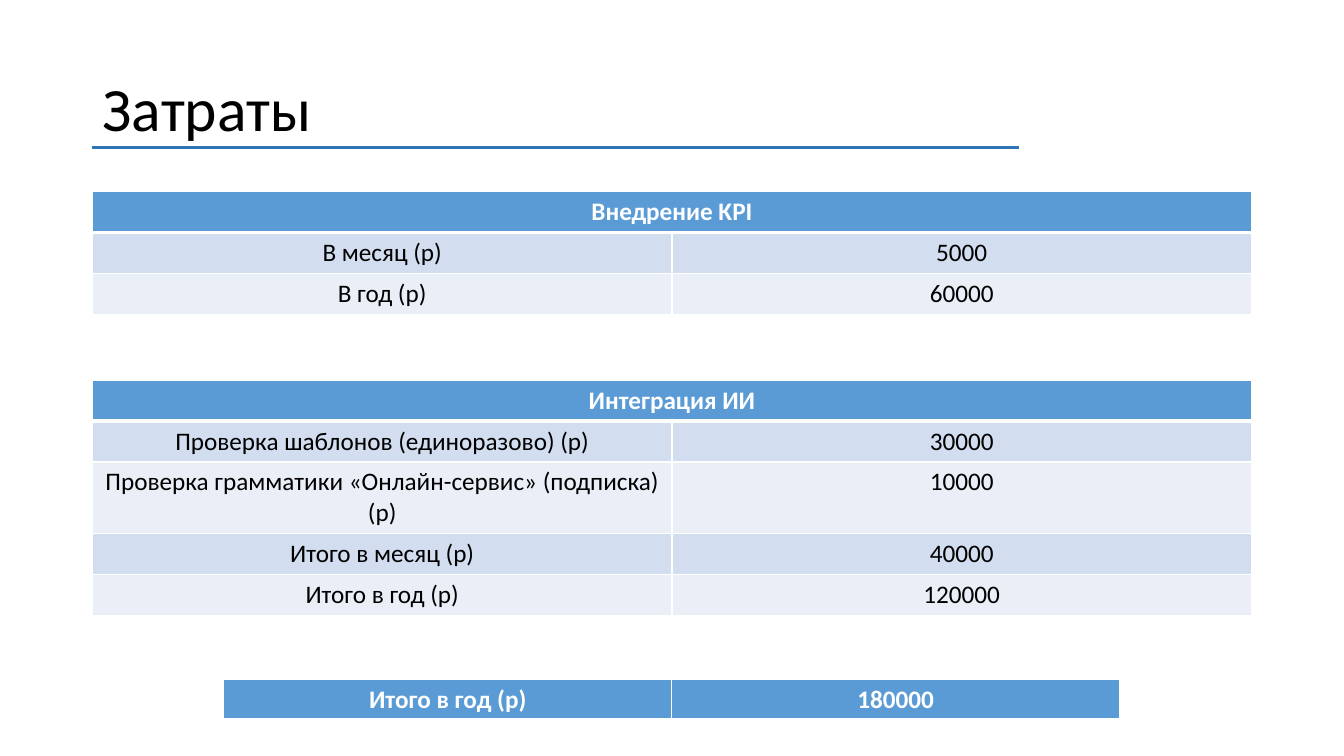
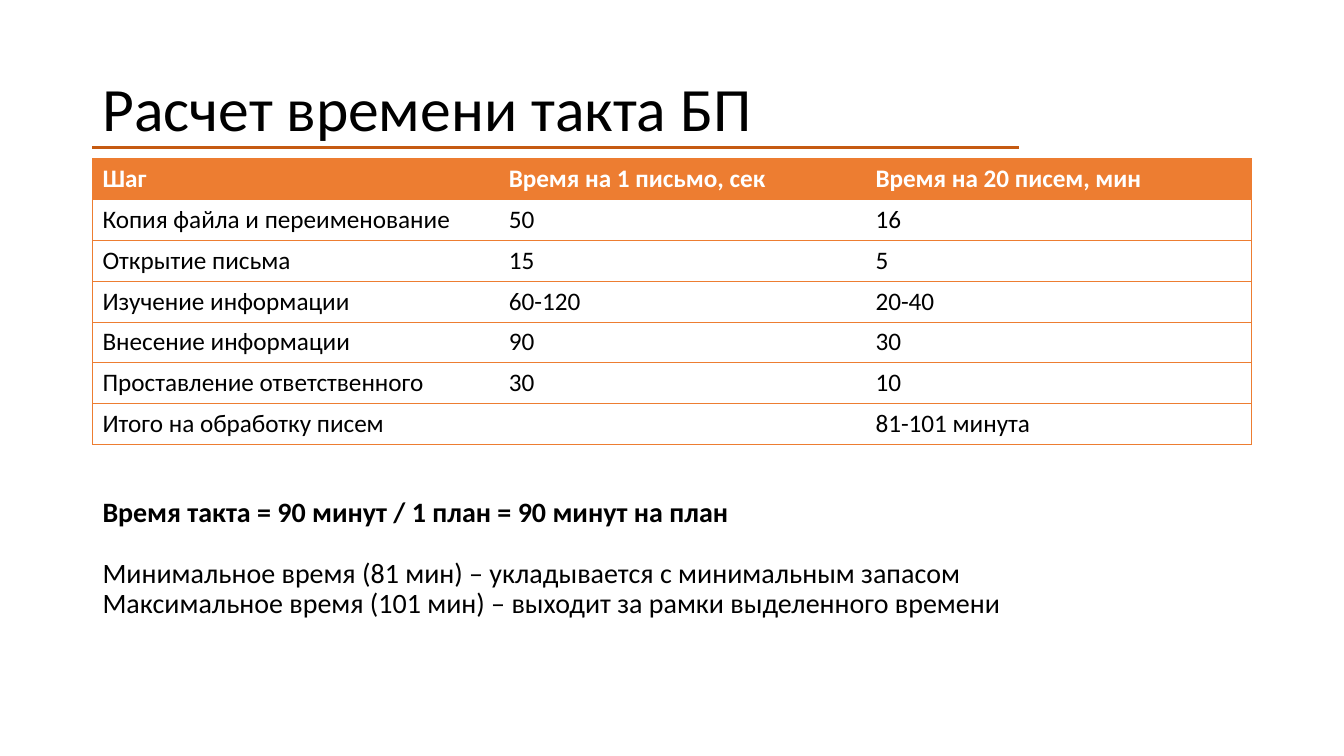
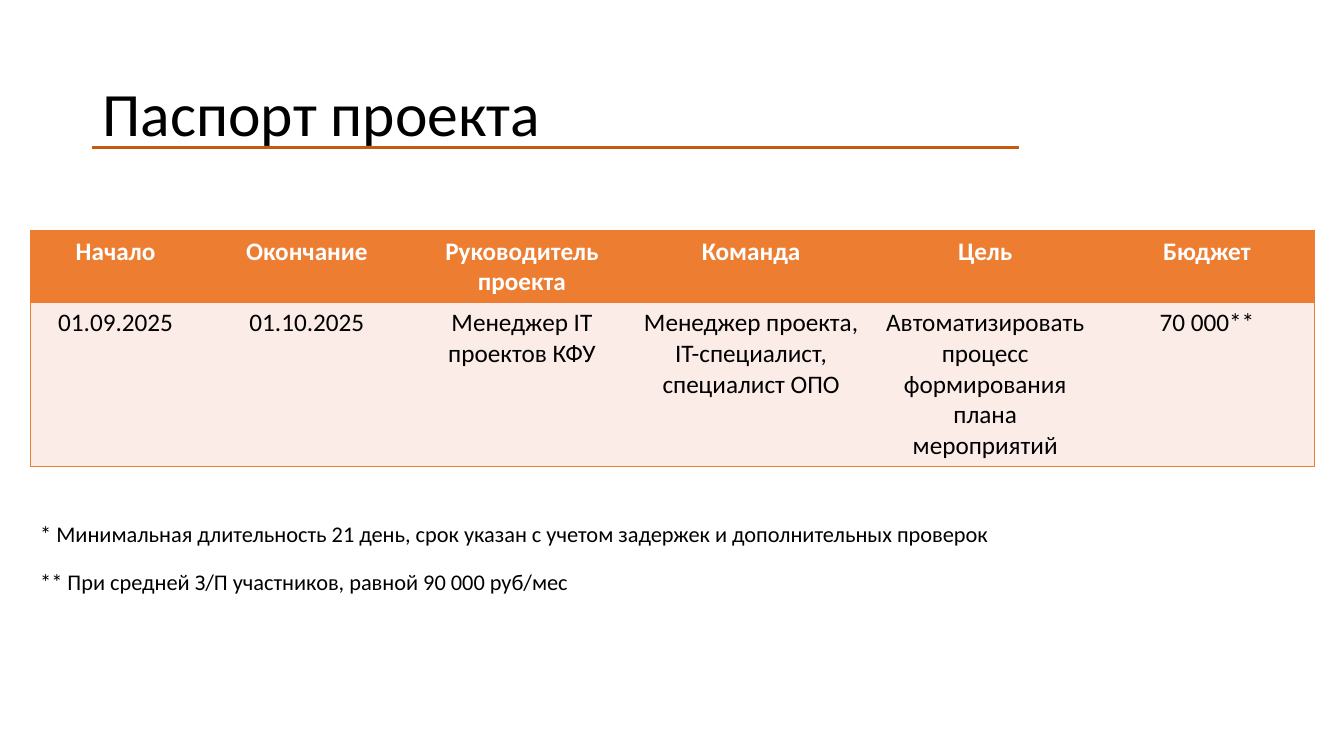
from dataclasses import dataclass

from lxml.etree import SubElement
from pptx import Presentation
from pptx.dml.color import RGBColor
from pptx.enum.shapes import MSO_CONNECTOR
from pptx.enum.text import MSO_ANCHOR, MSO_AUTO_SIZE, PP_ALIGN
from pptx.oxml.ns import qn
from pptx.util import Cm, Pt

FONT = "Calibri"
BLACK = RGBColor(0x00, 0x00, 0x00)
WHITE = RGBColor(0xFF, 0xFF, 0xFF)
BLUE = RGBColor(0x5B, 0x9B, 0xD5)
NAVY = RGBColor(0x2E, 0x75, 0xB6)
SKY = RGBColor(0xD2, 0xDE, 0xEF)
ICE = RGBColor(0xEA, 0xEF, 0xF7)
ORANGE = RGBColor(0xED, 0x7D, 0x31)
RUST = RGBColor(0xC5, 0x5A, 0x11)
ROSE = RGBColor(0xFC, 0xEC, 0xE8)

LEFT = 2.33
WIDTH = 29.21
ROW = 1.03
TITLE_ONLY = 5
TITLE_BODY = 1


@dataclass
class Look:
    head: RGBColor
    bands: tuple
    rule: RGBColor
    thin: float
    thick: float
    grid: bool
    align: PP_ALIGN


COST = Look(BLUE, (SKY, ICE), WHITE, 1, 3, True, PP_ALIGN.CENTER)
STEPS = Look(ORANGE, (None,), ORANGE, 0.5, 0.5, False, PP_ALIGN.LEFT)
PASS = Look(ORANGE, (ROSE,), ORANGE, 1, 1, False, PP_ALIGN.CENTER)


def style(par, size, color=BLACK, bold=False, align=PP_ALIGN.LEFT):
    par.alignment = align
    for run in par.runs:
        run.font.name = FONT
        run.font.size = Pt(size)
        run.font.bold = bold
        run.font.color.rgb = color


def place(shape, left, top, width, height):
    shape.left, shape.top = Cm(left), Cm(top)
    shape.width, shape.height = Cm(width), Cm(height)


def add_slide(deck, layout, title, top, height):
    slide = deck.slides.add_slide(deck.slide_layouts[layout])
    shape = slide.shapes.title
    place(shape, LEFT, top, WIDTH, height)
    frame = shape.text_frame
    frame.text = title
    frame.auto_size = MSO_AUTO_SIZE.NONE
    frame.vertical_anchor = MSO_ANCHOR.MIDDLE
    frame.paragraphs[0].line_spacing = 0.9
    style(frame.paragraphs[0], 44)
    return slide


def add_rule(slide, color):
    line = slide.shapes.add_connector(
        MSO_CONNECTOR.STRAIGHT, Cm(LEFT), Cm(3.71), Cm(25.68), Cm(3.71))
    line.line.color.rgb = color
    line.line.width = Pt(2.25)
    SubElement(line._element.spPr, qn("a:effectLst"))


def add_edge(cell, side, color, width):
    edge = SubElement(cell._tc.get_or_add_tcPr(), qn("a:ln" + side))
    if width:
        edge.set("w", str(Pt(width)))
        fill = SubElement(edge, qn("a:solidFill"))
        SubElement(fill, qn("a:srgbClr")).set("val", str(color))
    else:
        edge.set("w", "0")
        SubElement(edge, qn("a:noFill"))


def format_cell(cell, row, first, last, look):
    inner = look.thin if look.grid else 0
    widths = {
        "L": look.thin if first else inner,
        "R": look.thin if last else inner,
        "T": look.thick if row == 1 else look.thin,
        "B": look.thick if row == 0 else look.thin,
    }
    for side, width in widths.items():
        add_edge(cell, side, look.rule, width)
    fill = look.bands[(row - 1) % len(look.bands)] if row else look.head
    if fill is None:
        cell.fill.background()
    else:
        cell.fill.solid()
        cell.fill.fore_color.rgb = fill
    color = BLACK if row else WHITE
    style(cell.text_frame.paragraphs[0], 18, color, row == 0, look.align)


def add_grid(slide, rows, left, top, widths, look, tall=None):
    tall = tall or {}
    highs = [tall.get(i, ROW) for i in range(len(rows))]
    table = slide.shapes.add_table(
        len(rows), len(widths), Cm(left), Cm(top),
        Cm(sum(widths)), Cm(sum(highs))).table
    table.first_row = table.horz_banding = False
    for col, width in zip(table.columns, widths):
        col.width = Cm(width)
    end = len(widths) - 1
    for i, texts in enumerate(rows):
        table.rows[i].height = Cm(highs[i])
        for j, text in enumerate(texts):
            table.cell(i, j).text = text
        for j in range(len(widths)):
            format_cell(table.cell(i, j), i, j == 0, j == end, look)
        if len(texts) == 1:
            table.cell(i, 0).merge(table.cell(i, end))


def add_notes(slide, lines, box, size):
    body = slide.placeholders[1]
    place(body, *box)
    frame = body.text_frame
    frame.text = "\n".join(text for text, gap, bold in lines)
    frame.auto_size = MSO_AUTO_SIZE.NONE
    frame.word_wrap = True
    frame.vertical_anchor = MSO_ANCHOR.TOP
    for par, (text, gap, bold) in zip(frame.paragraphs, lines):
        props = par._p.get_or_add_pPr()
        props.set("marL", "0")
        props.set("indent", "0")
        SubElement(props, qn("a:buNone"))
        par.line_spacing = 0.9
        par.space_before = Pt(gap)
        style(par, size, bold=bold)


def add_costs(deck):
    slide = add_slide(deck, TITLE_ONLY, "Затраты", 1.35, 2.92)
    halves = [WIDTH / 2] * 2
    add_grid(slide, [
        ["Внедрение KPI"],
        ["В месяц (р)", "5000"],
        ["В год (р)", "60000"],
    ], LEFT, 4.83, halves, COST)
    add_grid(slide, [
        ["Интеграция ИИ"],
        ["Проверка шаблонов (единоразово) (р)", "30000"],
        ["Проверка грамматики «Онлайн-сервис» (подписка) (р)", "10000"],
        ["Итого в месяц (р)", "40000"],
        ["Итого в год (р)", "120000"],
    ], LEFT, 9.58, halves, COST, {2: 1.8})
    add_grid(slide, [["Итого в год (р)", "180000"]],
             5.64, 17.12, [11.29] * 2, COST)
    add_rule(slide, NAVY)


def add_steps(deck):
    slide = add_slide(deck, TITLE_BODY, "Расчет времени такта БП", 0.97, 3.68)
    add_grid(slide, [
        ["Шаг", "Время на 1 письмо, сек", "Время на 20 писем, мин"],
        ["Копия файла и переименование", "50", "16"],
        ["Открытие письма", "15", "5"],
        ["Изучение информации", "60-120", "20-40"],
        ["Внесение информации", "90", "30"],
        ["Проставление ответственного", "30", "10"],
        ["Итого на обработку писем", "", "81-101 минута"],
    ], LEFT, 3.99, [10.24, 9.24, 9.73], STEPS)
    add_notes(slide, [
        ("Время такта = 90 минут / 1 план = 90 минут на план", 0, True),
        ("Минимальное время (81 мин) – укладывается с минимальным запасом",
         22, False),
        ("Максимальное время (101 мин) – выходит за рамки выделенного времени",
         0, False),
    ], (LEFT, 12.42, WIDTH, 5.41), 20)
    add_rule(slide, RUST)


def add_pass(deck):
    slide = add_slide(deck, TITLE_BODY, "Паспорт проекта", 1.09, 3.68)
    add_grid(slide, [
        ["Начало", "Окончание", "Руководитель проекта", "Команда", "Цель",
         "Бюджет"],
        ["01.09.2025", "01.10.2025", "Менеджер IT проектов КФУ",
         "Менеджер проекта, IT-специалист, специалист ОПО",
         "Автоматизировать процесс формирования плана мероприятий",
         "70 000**"],
    ], 0.76, 5.82, [4.31, 5.33, 5.51, 6.04, 5.76, 5.41], PASS,
        {0: 1.8, 1: 4.14})
    add_notes(slide, [
        ("* Минимальная длительность 21 день, срок указан с учетом задержек "
         "и дополнительных проверок", 0, False),
        ("** При средней З/П участников, равной 90 000 руб/мес", 17, False),
    ], (0.76, 13.06, 32.36, 2.77), 16)
    add_rule(slide, RUST)


def main():
    deck = Presentation()
    deck.slide_width, deck.slide_height = Cm(33.87), Cm(19.05)
    add_costs(deck)
    add_steps(deck)
    add_pass(deck)
    deck.save("out.pptx")


if __name__ == "__main__":
    main()
